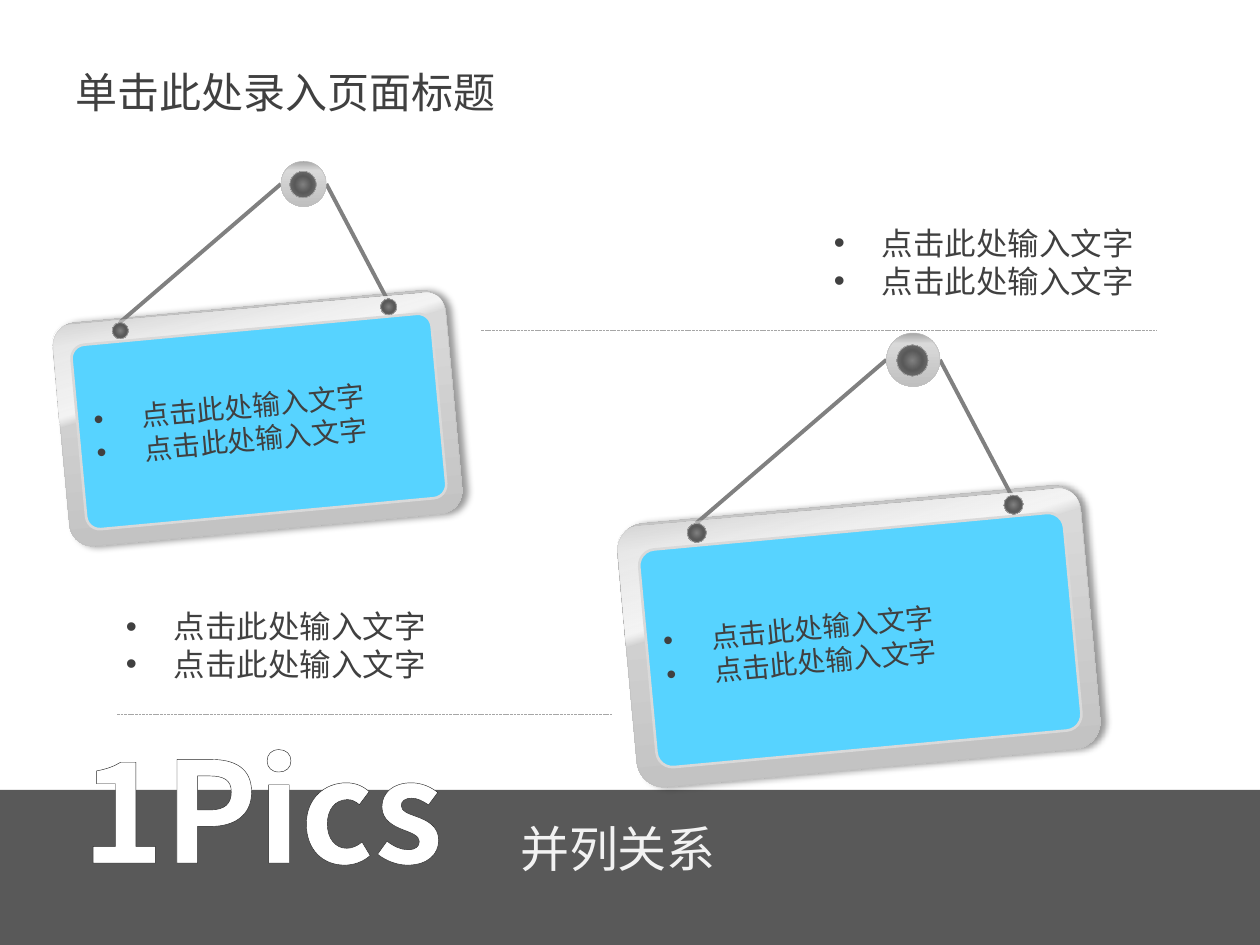
from lxml import etree
from pptx import Presentation
from pptx.dml.color import RGBColor
from pptx.enum.dml import MSO_LINE
from pptx.enum.shapes import MSO_CONNECTOR, MSO_SHAPE as Preset
from pptx.enum.text import MSO_ANCHOR as Anchor, MSO_AUTO_SIZE as AutoSize, PP_ALIGN as Align
from pptx.oxml.ns import qn
from pptx.util import Inches, Pt

FONT = "Noto Sans CJK SC"
INK = "404040"
TILT = -5.3

TITLE = "单击此处录入页面标题"
FOOTER = "并列关系"
COUNTER = "1Pics"
PROMPTS = ["点击此处输入文字", "点击此处输入文字"]

RULES = [(3.82, 9.18, 2.62), (0.93, 4.86, 5.67)]
LISTS = [(6.52, 1.73, 2.6, 0.71), (0.9, 4.77, 2.6, 0.71)]
SIGNS = [(0.48, 2.43, 1), (4.97, 4, 1.18)]

METAL = ([(0, "A6A6A6", 100), (20, "D9D9D9", 100), (100, "BFBFBF", 100)], 90)
STUD = ([(0, "808080", 100), (46, "595959", 100), (100, "808080", 100)], None)
GLOSS = ([(0, "FFFFFF", 0), (48, "F5F5F5", 100), (52, "FFFFFF", 0)], 78)

FRAME = (0, 0, 3.13, 1.78)
CORDS = [(0.47, 0.13, 1.75, -0.97), (2.11, -0.97, 2.59, -0.06)]
HOOK = (1.75, -1.15, 0.36, 0.36)
HOOK_CORE = (1.82, -1.07, 0.21, 0.21)
SHINE = (-0.04, 0.02, 3.12, 0.87)
PANEL = (0.14, 0.18, 2.87, 1.47)
PINS = [(0.41, 0.13, 0.13, 0.13), (2.54, -0.06, 0.13, 0.13)]


def color(code):
    return RGBColor.from_string(code)


def add_node(parent, tag, **attributes):
    return etree.SubElement(parent, qn(tag), {k: str(v) for k, v in attributes.items()})


def add_color(parent, code, opacity):
    node = add_node(parent, "a:srgbClr", val=code)
    if opacity < 100:
        add_node(node, "a:alpha", val=opacity * 1000)


def set_gradient(shape, stops, angle):
    shape.fill.background()
    blank = shape._element.spPr.find(qn("a:noFill"))
    gradient = etree.Element(qn("a:gradFill"), rotWithShape="1")
    stop_list = add_node(gradient, "a:gsLst")
    for position, code, opacity in stops:
        add_color(add_node(stop_list, "a:gs", pos=position * 1000), code, opacity)
    if angle is None:
        radial = add_node(gradient, "a:path", path="circle")
        add_node(radial, "a:fillToRect", l=50000, t=50000, r=50000, b=50000)
    else:
        add_node(gradient, "a:lin", ang=angle * 60000, scaled=0)
    blank.getparent().replace(blank, gradient)


def add_shape(shapes, preset, place, fill, line=None, width=0.25, tilt=0):
    shape = shapes.add_shape(preset, *map(Inches, place))
    shape.rotation = tilt
    shape.shadow.inherit = False
    if isinstance(fill, str):
        shape.fill.solid()
        shape.fill.fore_color.rgb = color(fill)
    else:
        set_gradient(shape, *fill)
    if line:
        shape.line.color.rgb = color(line)
        shape.line.width = Pt(width)
    else:
        shape.line.fill.background()
    return shape


def add_line(shapes, ends, code, width):
    line = shapes.add_connector(MSO_CONNECTOR.STRAIGHT, *map(Inches, ends))
    line.line.color.rgb = color(code)
    line.line.width = Pt(width)
    add_node(line._element.spPr, "a:effectLst")
    return line


def write(frame, lines, size, code, bullets=False, bold=False):
    frame.text = "\n".join(lines)
    for para in frame.paragraphs:
        para.alignment = Align.LEFT
        if bullets:
            properties = para._p.get_or_add_pPr()
            properties.set("marL", str(Inches(0.38)))
            properties.set("indent", str(-Inches(0.38)))
            add_node(properties, "a:buFont", typeface="Arial")
            add_node(properties, "a:buChar", char="•")
        for span in para.runs:
            span.font.size = Pt(size)
            span.font.bold = bold
            span.font.color.rgb = color(code)
            span.font.name = FONT
            add_node(span._r.get_or_add_rPr(), "a:ea", typeface=FONT)


def add_text(shapes, place, lines, size, code, wrap=False, **style):
    box = shapes.add_textbox(*map(Inches, place))
    box.text_frame.word_wrap = wrap
    box.text_frame.auto_size = AutoSize.SHAPE_TO_FIT_TEXT
    write(box.text_frame, lines, size, code, **style)
    return box


def add_sign(page, left, top, scale):
    shapes = page.shapes.add_group_shape().shapes

    def put(place):
        x, y, width, height = place
        return left + x * scale, top + y * scale, width * scale, height * scale

    frame = add_shape(shapes, Preset.ROUNDED_RECTANGLE, put(FRAME), METAL, "BFBFBF", tilt=TILT)
    frame.adjustments[0] = 0.104
    effects = frame._element.spPr.find(qn("a:effectLst"))
    shadow = add_node(effects, "a:outerShdw", blurRad=Pt(4), dist=Pt(3), dir=0,
                      algn="l", rotWithShape=0)
    add_color(shadow, "000000", 40)

    for x1, y1, x2, y2 in CORDS:
        ends = (left + x1 * scale, top + y1 * scale, left + x2 * scale, top + y2 * scale)
        add_line(shapes, ends, "808080", 2.25)
    add_shape(shapes, Preset.OVAL, put(HOOK), METAL, "BFBFBF")
    add_shape(shapes, Preset.OVAL, put(HOOK_CORE), STUD, "BFBFBF")
    add_shape(shapes, Preset.ROUND_2_SAME_RECTANGLE, put(SHINE), GLOSS, tilt=-5.1)

    panel = add_shape(shapes, Preset.ROUNDED_RECTANGLE, put(PANEL), "57D3FF", "D9D9D9", 1.5, TILT)
    panel.adjustments[0] = 0.074
    panel.text_frame.vertical_anchor = Anchor.MIDDLE
    write(panel.text_frame, PROMPTS, 16, INK, bullets=True)
    for pin in PINS:
        add_shape(shapes, Preset.OVAL, put(pin), STUD, "BFBFBF", tilt=TILT)


def main():
    """Build the slide with two hanging signs and save it."""
    deck = Presentation()
    deck.slide_width, deck.slide_height = Inches(10), Inches(7.5)
    page = deck.slides.add_slide(deck.slide_layouts[6])
    shapes = page.shapes

    add_shape(shapes, Preset.RECTANGLE, (0, 6.27, 10, 1.23), "595959")
    title = add_text(shapes, (0.5, 0.3, 9, 0.85), [TITLE], 24, INK, wrap=True)
    title.text_frame.auto_size = AutoSize.NONE
    title.text_frame.vertical_anchor = Anchor.MIDDLE

    for start, end, y in RULES:
        rule = add_line(shapes, (start, y, end, y), "A6A6A6", 0.5)
        rule.line.dash_style = MSO_LINE.SQUARE_DOT
    for place in LISTS:
        add_text(shapes, place, PROMPTS, 18, INK, bullets=True)

    counter = add_text(shapes, (0.55, 5.69, 3.86, 1.45), [COUNTER], 80, "FFFFFF",
                       wrap=True, bold=True)
    outline = etree.Element(qn("a:ln"), w=str(Pt(1.5)))
    add_color(add_node(outline, "a:solidFill"), "262626", 100)
    counter.text_frame.paragraphs[0].runs[0]._r.get_or_add_rPr().insert(0, outline)
    add_text(shapes, (4.03, 6.45, 1.77, 0.57), [FOOTER], 28, "F2F2F2")

    for sign in SIGNS:
        add_sign(page, *sign)
    deck.save("out.pptx")


if __name__ == "__main__":
    main()
